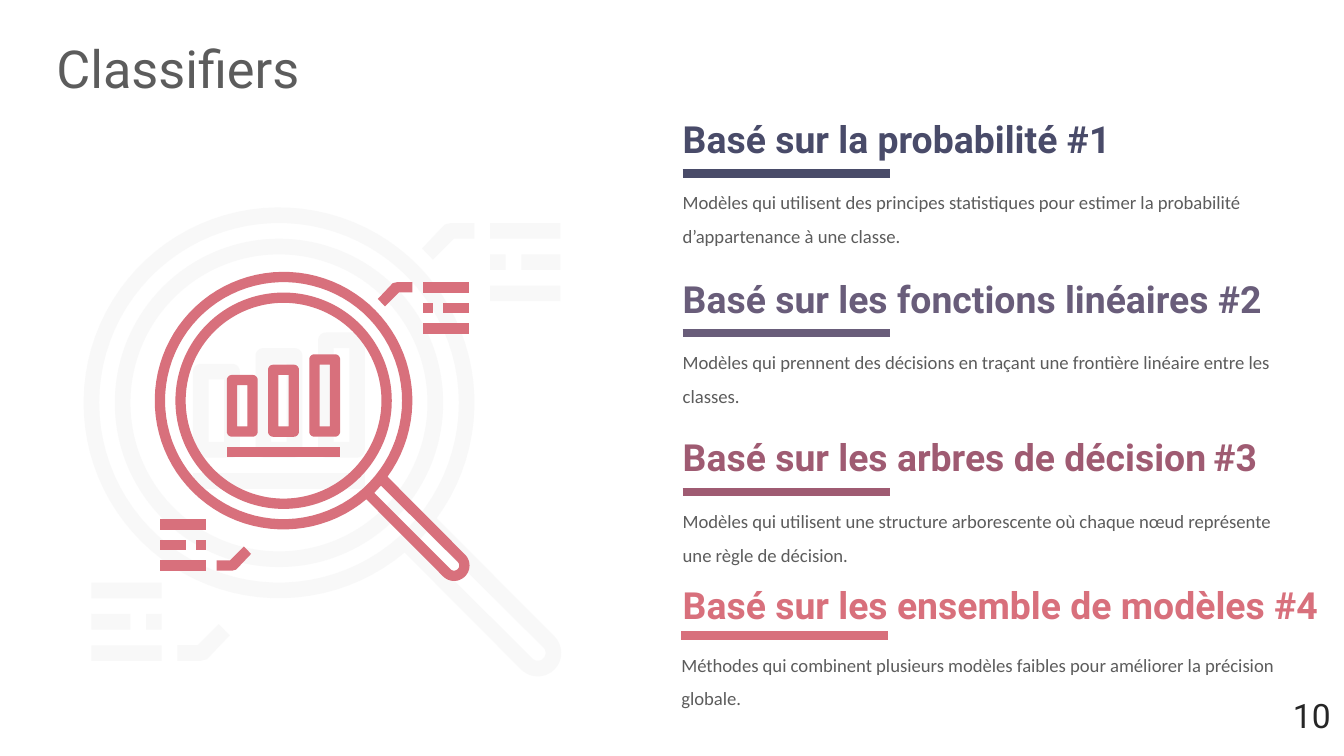
from math import cos, radians, sin

from lxml import etree
from pptx import Presentation
from pptx.dml.color import RGBColor
from pptx.enum.shapes import MSO_CONNECTOR, MSO_SHAPE
from pptx.enum.text import MSO_ANCHOR, PP_ALIGN
from pptx.oxml.ns import qn
from pptx.util import Inches, Pt

RECTANGLE, DONUT = MSO_SHAPE.RECTANGLE, MSO_SHAPE.DONUT
TOP, MIDDLE = MSO_ANCHOR.TOP, MSO_ANCHOR.MIDDLE
RIGHT = PP_ALIGN.RIGHT
STRAIGHT = MSO_CONNECTOR.STRAIGHT

# Content
TITLE = "Classifiers"
PAGE_NUMBER = "10"
GREY = "5C5C5C"
# colour, left, heading top, rule height, heading runs (text, size), description
CLASSIFIERS = [
    ("494B69", 5.08, 0.86, 1.29, [("Basé sur la probabilité #1", 20)],
     "Modèles qui utilisent des principes statistiques pour estimer "
     "la probabilité d’appartenance à une classe."),
    ("695D7A", 5.08, 2.05, 2.48, [("Basé sur les fonctions linéaires #2", 20)],
     "Modèles qui prennent des décisions en traçant une frontière "
     "linéaire entre les classes."),
    ("9F5B72", 5.08, 3.23, 3.66,
     [("Basé sur les arbres de décision", 20), (" ", 14), ("#3", 20)],
     "Modèles qui utilisent une structure arborescente où chaque nœud "
     "représente une règle de décision."),
    ("D8707C", 5.07, 4.33, 4.73, [("Basé sur les ensemble de modèles #4", 20)],
     "Méthodes qui combinent plusieurs modèles faibles pour améliorer "
     "la précision globale."),
]
SLIDE_WIDTH = 10
SLIDE_HEIGHT = SLIDE_WIDTH * 9 / 16
STRIP_HEIGHT = 0.5
RULE_WIDTH, TEXT_WIDTH, HEADING_WIDTH = 1.54, 4.49, 4.92

# Magnifier icon, drawn on a grid of 30 by 28 units
ICON_COLUMNS, ICON_ROWS = 30, 28
LENS = (12, 11.5)
HANDLE_END = (28.55, 27.5)
NOTE_BARS = [(25.5, 0, 4.5), (25.5, 2, 1), (27.5, 2, 2.5), (25.5, 4, 4.5)]
NOTE_POINTER = [(23.2, 1), (24.5, 1), (24.5, 0), (23, 0), (22.6, 0.1),
                (21.15, 1.63), (21.85, 2.35)]
CHART_COLUMNS = [(6.5, 6), (10.5, 7), (14.5, 8)]
CHART_BOTTOM = 15
# left, top, width, colour, opacity
ICONS = [(0.68, 1.66, 3.49, "F2F2F2", 50), (1.19, 2.1, 2.3, "D8707C", 100)]


def rgb(value):
    return RGBColor.from_string(value)


def write(frame, runs, font, anchor=TOP, margins=(0, 0), **paragraph_format):
    frame.word_wrap = True
    frame.vertical_anchor = anchor
    frame.margin_left = frame.margin_right = Inches(margins[0])
    frame.margin_top = frame.margin_bottom = Inches(margins[1])
    paragraph = frame.paragraphs[0]
    for key, value in paragraph_format.items():
        setattr(paragraph, key, value)
    for text, size in runs:
        run = paragraph.add_run()
        run.text = text
        run.font.size = Pt(size)
        run.font.color.rgb = rgb(font["color"])
        run.font.name = font["name"]
        run.font.bold = font.get("bold", False)


def add_text(slide, box, *args, **kwargs):
    frame = slide.shapes.add_textbox(*map(Inches, box)).text_frame
    write(frame, *args, **kwargs)


def paint(shape, color, opacity=100):
    shape.shadow.inherit = False
    shape.line.fill.background()
    shape.fill.solid()
    shape.fill.fore_color.rgb = rgb(color)
    if opacity < 100:
        color_element = shape._element.spPr.find(".//" + qn("a:srgbClr"))
        etree.SubElement(color_element, qn("a:alpha"), val=str(opacity * 1000))


def arc(center, radius, start, end, steps=90):
    angles = [radians(start + (end - start) * i / steps) for i in range(steps + 1)]
    return [(center[0] + radius * cos(a), center[1] + radius * sin(a)) for a in angles]


def rectangle(x, y, width, height):
    return [(x, y), (x + width, y), (x + width, y + height), (x, y + height)]


def rounded(x, y, width, height, radius=0.5):
    inner = rectangle(x + radius, y + radius, width - 2 * radius, height - 2 * radius)
    return [point for i, corner in enumerate(inner)
            for point in arc(corner, radius, 180 + 90 * i, 270 + 90 * i, 6)]


def opposite(points):
    return [(ICON_COLUMNS - x, ICON_ROWS - y) for x, y in points]


def icon_outlines():
    # Rim with handle, lens opening and slot in the handle
    rim = arc(LENS, 12.5, 50, 396.2) + arc(HANDLE_END, 1.5, -45, 135, 24)
    slot = [(20.8, 20.46), (21.45, 19.75)] + arc(HANDLE_END, 0.5, -45, 135, 16)
    yield [rim, arc(LENS, 11.5, 0, 360), slot]
    # Column chart in the lens
    for x, height in CHART_COLUMNS:
        y = CHART_BOTTOM - height
        yield [rounded(x, y, 3, height), rectangle(x + 1, y + 1, 1, height - 2)]
    yield [rectangle(6.5, 16, 11, 1)]
    # Notes at opposite corners
    for outline in [NOTE_POINTER] + [rectangle(x, y, w, 1) for x, y, w in NOTE_BARS]:
        yield [outline]
        yield [opposite(outline)]


def add_icon(slide, left, top, width, color, opacity):
    shapes = slide.shapes.add_group_shape().shapes
    unit = width / ICON_COLUMNS

    def place(point):
        return Inches(left + point[0] * unit), Inches(top + point[1] * unit)

    # Inner ring
    radius = 10.5
    corner = place((LENS[0] - radius, LENS[1] - radius))
    size = Inches(2 * radius * unit)
    ring = shapes.add_shape(DONUT, *corner, size, size)
    ring.adjustments[0] = 1 / (2 * radius)
    paint(ring, color, opacity)

    for contours in icon_outlines():
        builder = None
        for contour in contours:
            start, *rest = map(place, contour)
            if builder is None:
                builder = shapes.build_freeform(*start)
            else:
                builder.move_to(*start)
            builder.add_line_segments(rest, close=True)
        paint(builder.convert_to_shape(), color, opacity)


def add_classifier(slide, color, left, top, rule_y, heading, description):
    ends = [Inches(v) for v in (left, rule_y, left + RULE_WIDTH, rule_y)]
    rule = slide.shapes.add_connector(STRAIGHT, *ends)
    rule.line.color.rgb = rgb(color)
    rule.line.width = Pt(4.5)
    etree.SubElement(rule._element.spPr, qn("a:effectLst"))
    add_text(slide, (5.08, top, HEADING_WIDTH, 0.34), heading,
             {"name": "Roboto", "color": color, "bold": True}, MIDDLE)
    add_text(slide, (left, rule_y + 0.05, TEXT_WIDTH, 0.5), [(description, 10)],
             {"name": "Calibri", "color": GREY}, line_spacing=1.5, space_after=Pt(10))


def main():
    deck = Presentation()
    deck.slide_width, deck.slide_height = Inches(SLIDE_WIDTH), Inches(SLIDE_HEIGHT)
    slide = deck.slides.add_slide(deck.slide_layouts[6])

    # Title
    add_text(slide, (0.42, 0.31, 9.15, 0.45), [(TITLE, 28)],
             {"name": "Roboto", "color": GREY}, MIDDLE, line_spacing=0.9)

    # Page number strip
    strip_box = (0, SLIDE_HEIGHT - STRIP_HEIGHT, SLIDE_WIDTH, STRIP_HEIGHT)
    strip = slide.shapes.add_shape(RECTANGLE, *map(Inches, strip_box))
    paint(strip, "FFFFFF")
    write(strip.text_frame, [(PAGE_NUMBER, 18)], {"name": "Roboto", "color": "262626"},
          margins=(0.1, 0.05), alignment=RIGHT)

    # Classifier families
    for classifier in CLASSIFIERS:
        add_classifier(slide, *classifier)

    # Magnifiers, pale one behind
    for icon in ICONS:
        add_icon(slide, *icon)

    deck.save("out.pptx")


if __name__ == "__main__":
    main()
